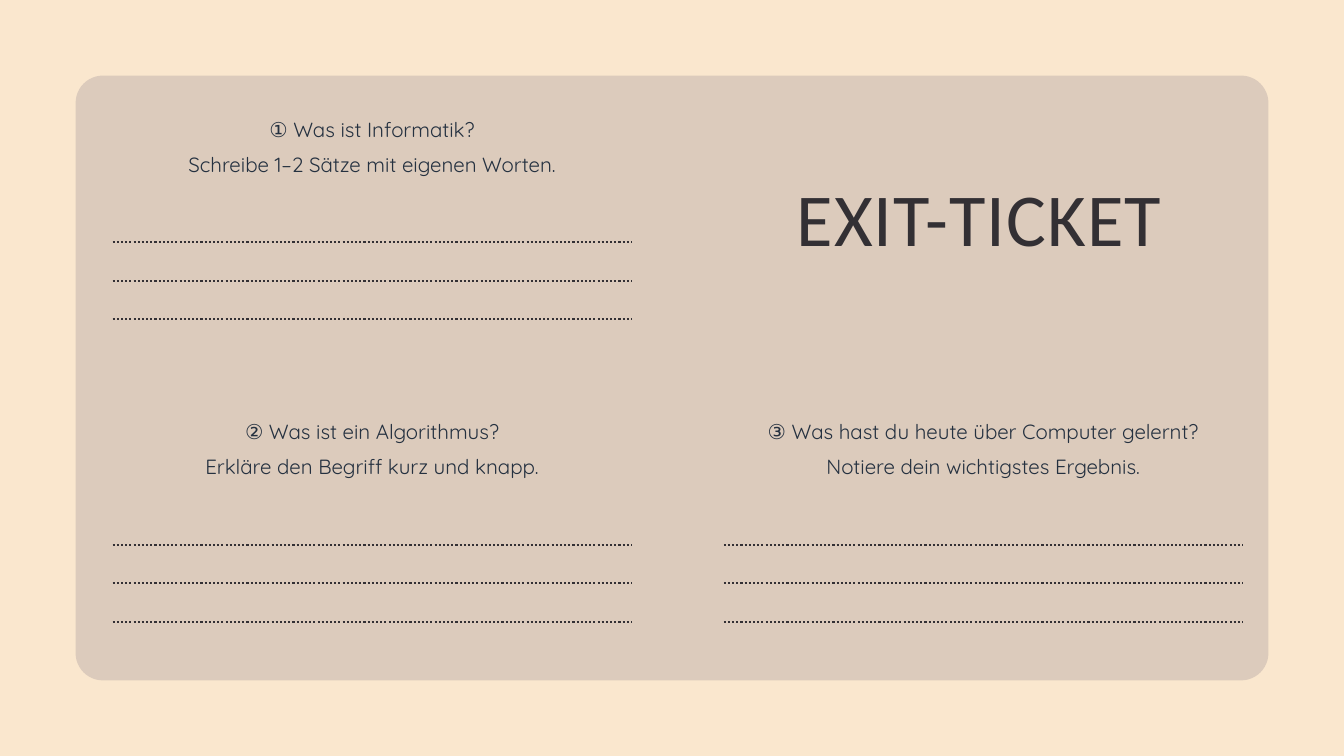
import pptx
import pptx.dml.color
import pptx.enum.dml
import pptx.enum.shapes
import pptx.enum.text
import pptx.oxml.ns
import pptx.util
from lxml import etree

PX = 9525
COLORS = {"page": "FAE7CE", "card": "DCCBBC", "question": "253140", "ink": "333034"}
QUESTIONS = [
    ((147, 152), ["① Was ist Informatik?", "Schreibe 1–2 Sätze mit eigenen Worten."]),
    ((147, 584), ["② Was ist ein Algorithmus?", "Erkläre den Begriff kurz und knapp."]),
    ((1020, 584), ["③ Was hast du heute über Computer gelernt?",
                   "Notiere dein wichtigstes Ergebnis."]),
]


def px(*lengths):
    """Turn px lengths into EMU."""
    return [pptx.util.Emu(length * PX) for length in lengths]


def rgb(name):
    """Look up a named colour."""
    return pptx.dml.color.RGBColor.from_string(COLORS[name])


def add_text(slide, box, lines, *, font, size, color, leading, tracking=0):
    """Place centred lines of text in a box without margins."""
    frame = slide.shapes.add_textbox(*px(*box)).text_frame
    frame.word_wrap = True
    frame.margin_left = frame.margin_right = frame.margin_top = frame.margin_bottom = 0
    for index, line in enumerate(lines):
        paragraph = frame.paragraphs[0] if index == 0 else frame.add_paragraph()
        paragraph.alignment = pptx.enum.text.PP_ALIGN.CENTER
        paragraph.line_spacing = pptx.util.Pt(leading)
        run = paragraph.add_run()
        run.text = line
        run.font.name = font
        run.font.size = pptx.util.Pt(size)
        run.font.color.rgb = rgb(color)
        if tracking:
            run.font._element.set("spc", str(round(tracking * 100)))


def add_writing_line(slide, left, top, width):
    """Draw one dotted line to write on."""
    writing_line = slide.shapes.add_connector(
        pptx.enum.shapes.MSO_CONNECTOR.STRAIGHT, *px(left, top, left + width, top))
    writing_line.line.color.rgb = rgb("ink")
    writing_line.line.width = pptx.util.Pt(2.25)
    writing_line.line.dash_style = pptx.enum.dml.MSO_LINE.ROUND_DOT
    etree.SubElement(writing_line._element.spPr, pptx.oxml.ns.qn("a:effectLst"))


def add_card(slide, box, radius):
    """Draw the rounded ticket behind everything."""
    card = slide.shapes.add_shape(
        pptx.enum.shapes.MSO_SHAPE.ROUNDED_RECTANGLE, *px(*box))
    card.adjustments[0] = radius / min(box[2:])
    card.shadow.inherit = False
    card.fill.solid()
    card.fill.fore_color.rgb = rgb("card")
    card.line.fill.background()


def add_question(slide, box, lines):
    """Place a question with three writing lines below it."""
    left, top, width, height = box
    inset = 14
    add_text(slide, (left, top, width, 94), lines,
             font="Quicksand", size=22, color="question", leading=37.4)
    for row in range(3):
        add_writing_line(slide, left + inset, top + height - (2 - row) * 55,
                         width - 2 * inset)


def add_title(slide, box):
    """Place the ticket heading."""
    add_text(slide, box, ["EXIT-TICKET"], font="Calibri", size=80,
             color="ink", leading=96, tracking=1.2)


def main():
    """Build and save the exit ticket."""
    presentation = pptx.Presentation()
    presentation.slide_width, presentation.slide_height = px(1920, 1080)
    slide = presentation.slides.add_slide(presentation.slide_layouts[6])
    slide.background.fill.solid()
    slide.background.fill.fore_color.rgb = rgb("page")
    add_card(slide, (108, 108, 1704, 864), 39)
    for corner, lines in QUESTIONS:
        add_question(slide, (*corner, 769, 304), lines)
    add_title(slide, (1016, 246, 766, 130))
    presentation.save("out.pptx")


if __name__ == "__main__":
    main()
